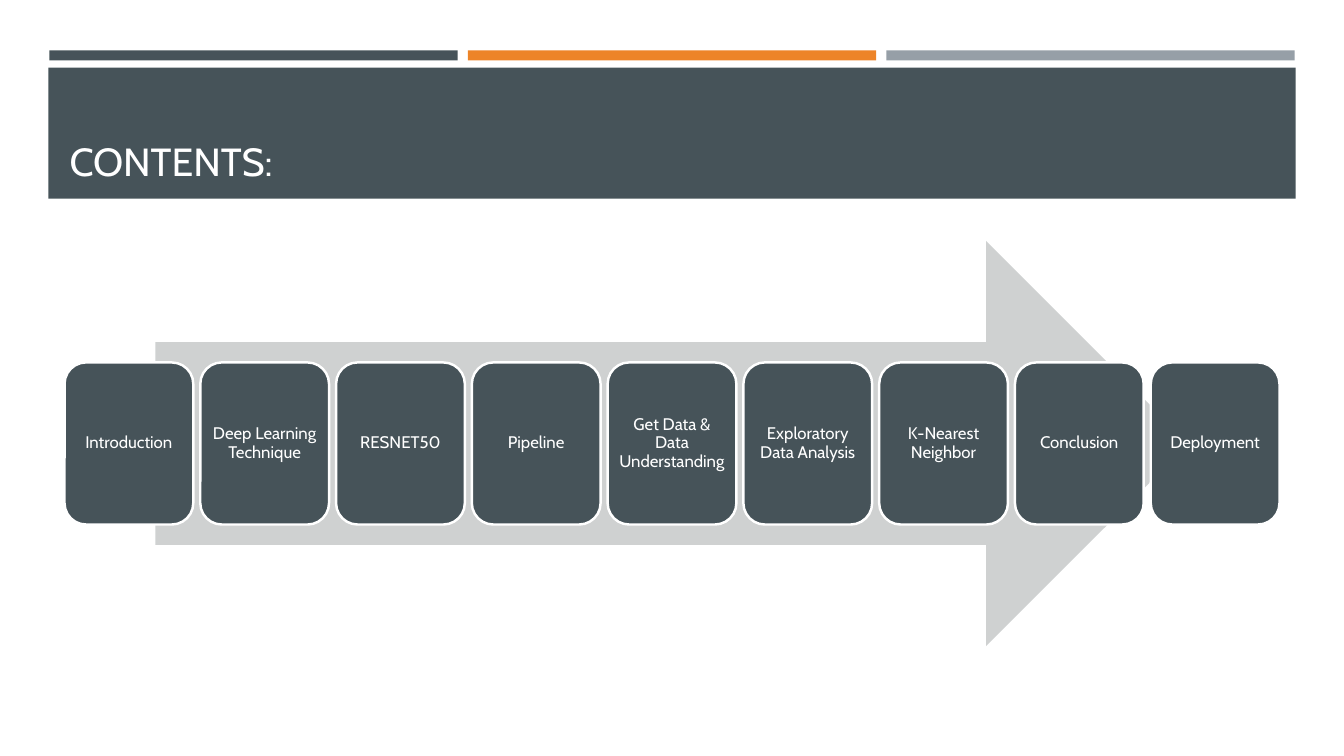
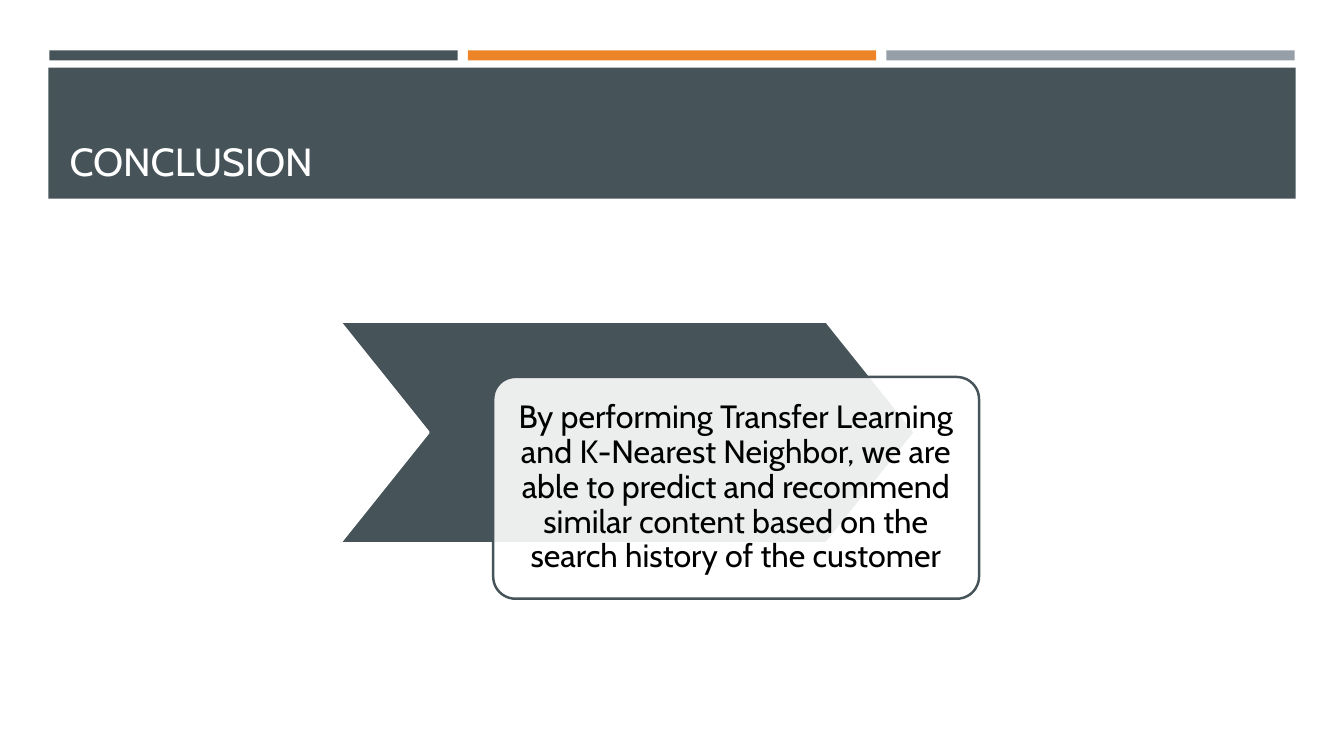
from lxml import etree
from pptx import Presentation
from pptx.dml.color import RGBColor as RGB
from pptx.enum.shapes import MSO_SHAPE as SHAPE
from pptx.enum.text import MSO_ANCHOR as ANCHOR, PP_ALIGN as ALIGN
from pptx.oxml.ns import qn
from pptx.util import Inches, Pt

COLORS = {
    "slate": "465359",
    "orange": "ED8428",
    "gray": "969FA7",
    "arrow": "CFD1D1",
    "white": "FFFFFF",
    "black": "000000",
}
FONT = "Cabin"
LINE_WIDTH = 1.75

TOPICS = [
    "Introduction",
    "Deep Learning Technique",
    "RESNET50",
    "Pipeline",
    "Get Data & Data Understanding",
    "Exploratory Data Analysis",
    "K-Nearest Neighbor",
    "Conclusion",
    "Deployment",
]
CONCLUSION = (
    "By performing Transfer Learning and K-Nearest Neighbor, we are able to "
    "predict and recommend similar content based on the search history of "
    "the customer"
)


def color(name):
    return RGB.from_string(COLORS[name])


def add_shape(s, kind, box, fill, line=None, adj=None, opacity=None):
    """Add a flat preset shape; box is left, top, width, height in inches."""
    sp = s.shapes.add_shape(kind, *(Inches(v) for v in box))
    sp.shadow.inherit = False
    sp.fill.solid()
    sp.fill.fore_color.rgb = color(fill)
    if opacity is not None:
        clr = sp.fill._xPr.find(".//" + qn("a:srgbClr"))
        etree.SubElement(clr, qn("a:alpha"), val=str(opacity * 1000))
    if line:
        sp.line.color.rgb = color(line)
        sp.line.width = Pt(LINE_WIDTH)
    else:
        sp.line.fill.background()
    if adj is not None:
        sp.adjustments[0] = adj
    return sp


def set_text(sp, text, size, fill="white", align=ALIGN.CENTER,
             anchor=ANCHOR.MIDDLE, inset=0.05, spacing=0.9):
    tf = sp.text_frame
    tf.word_wrap = True
    tf.vertical_anchor = anchor
    tf.margin_left = tf.margin_right = Inches(inset)
    tf.margin_top = tf.margin_bottom = Inches(inset)
    p = tf.paragraphs[0]
    p.alignment = align
    p.line_spacing = spacing
    r = p.add_run()
    r.text = text
    r.font.name = FONT
    r.font.size = Pt(size)
    r.font.color.rgb = color(fill)


def add_header(s, title, x=0.49, y=0.5):
    # Three accent bars
    bar_w, gap = 4.05, 0.1
    for i, fill in enumerate(("slate", "orange", "gray")):
        add_shape(s, SHAPE.RECTANGLE, (x + i * (bar_w + gap), y, bar_w, 0.1), fill)

    # Title band
    add_shape(s, SHAPE.RECTANGLE, (x - 0.01, y + 0.17, 12.37, 1.3), "slate")
    box = (x + 0.15, y + 0.27, 12.06, 1.11)
    tb = s.shapes.add_textbox(*(Inches(v) for v in box))
    set_text(tb, title, 28, align=ALIGN.LEFT, anchor=ANCHOR.BOTTOM, spacing=1.0)


def add_process(s, box, topics):
    """Row of topic cards in front of a wide arrow."""
    x, y, w, h = box
    margin, gap = 0.9, 0.07
    add_shape(s, SHAPE.RIGHT_ARROW, (x + margin, y, w - 2 * margin, h), "arrow")

    # Equal cards, centred on the arrow
    card_w = (w - gap * (len(topics) - 1)) / len(topics)
    for i, topic in enumerate(topics):
        card = (x + i * (card_w + gap), y + 0.3 * h, card_w, 0.4 * h)
        sp = add_shape(s, SHAPE.ROUNDED_RECTANGLE, card, "slate", line="white")
        set_text(sp, topic, 12)


def add_statement(s, box, text):
    """Chevron with a translucent text card over its lower right."""
    x, y, w, h = box
    add_shape(s, SHAPE.CHEVRON, (x, y, 0.9 * w, 0.8 * h), "slate",
              line="white", adj=0.4)
    card = (x + 0.24 * w, y + 0.2 * h, 0.76 * w, 0.8 * h)
    sp = add_shape(s, SHAPE.ROUNDED_RECTANGLE, card, "white",
                   line="slate", adj=0.1, opacity=90)
    set_text(sp, text, 23, fill="black", inset=0.18)


def add_slide(prs, title):
    s = prs.slides.add_slide(prs.slide_layouts[6])
    add_header(s, title)
    return s


def main():
    prs = Presentation()
    prs.slide_width, prs.slide_height = Inches(13.33), Inches(7.5)

    add_process(add_slide(prs, "CONTENTS:"), (0.64, 2.39, 12.05, 4.02), TOPICS)
    add_statement(add_slide(prs, "CONCLUSION"), (3.37, 3.19, 6.34, 2.75), CONCLUSION)

    prs.save("out.pptx")


if __name__ == "__main__":
    main()
